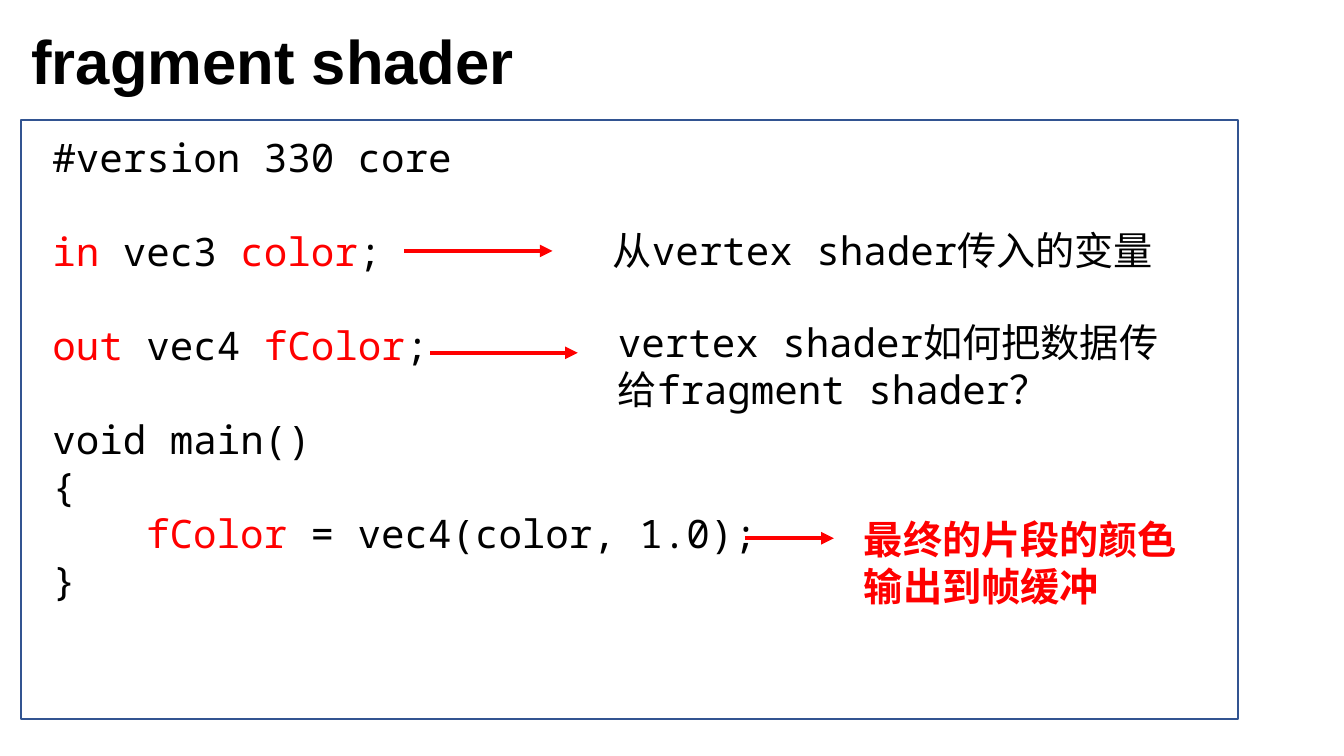
from dataclasses import dataclass

import lxml.etree
import pptx
import pptx.dml.color
import pptx.enum.shapes
import pptx.enum.text
import pptx.oxml.ns
import pptx.util

COLORS = {"text": "000000", "accent": "FF0000", "frame": "325491"}
CODE_FONT = "Noto Sans Mono"
TITLE_FONT = "Arial"
CODE_SIZE = 28
LINE_GAP = 33.6
CODE_INDENT = 0.93


@dataclass(frozen=True)
class Area:
    """Position and size in percent of the slide."""
    left: float
    top: float
    width: float
    height: float


@dataclass(frozen=True)
class Arrow:
    start: float
    end: float
    level: float


@dataclass(frozen=True)
class Note:
    area: Area
    lines: tuple[str, ...]
    color: str = "text"
    bold: bool = False


@dataclass(frozen=True)
class CodeLine:
    tokens: tuple[tuple[str, str], ...]
    gap_after: bool = False
    indent: float = 0


TITLE_AREA = Area(1.58, 2.4, 60.47, 11.2)
CODE_AREA = Area(3.15, 16.93, 82.22, 76.8)
FRAME_AREA = Area(1.58, 15.87, 90.55, 79.2)

CODE = (
    CodeLine((("#version 330 core", "text"),), True),
    CodeLine((("in", "accent"), (" vec3 ", "text"), ("color", "accent"), (";", "text")), True),
    CodeLine((("out", "accent"), (" vec4 ", "text"), ("fColor", "accent"), (";", "text")), True),
    CodeLine((("void main()", "text"),)),
    CodeLine((("{", "text"),)),
    CodeLine((("fColor", "accent"), (" = vec4(color, 1.0);", "text")), indent=CODE_INDENT),
    CodeLine((("}", "text"),)),
)
ARROWS = (
    Arrow(30.08, 41.11, 33.2),
    Arrow(32.03, 42.99, 46.67),
    Arrow(55.44, 62.04, 71.2),
)
NOTES = (
    Note(Area(44.86, 29.33, 41.71, 7.6), ("从vertex shader传入的变量",)),
    Note(Area(45.24, 41.47, 41.71, 13.87), ("vertex shader如何把数据传给fragment shader？",)),
    Note(Area(63.54, 67.47, 27.08, 13.87), ("最终的片段的颜色", "输出到帧缓冲"), "accent", True),
)

presentation = pptx.Presentation()
presentation.slide_width = pptx.util.Inches(13.33)
presentation.slide_height = pptx.util.Inches(7.5)
slide = presentation.slides.add_slide(presentation.slide_layouts[1])


def across(share: float) -> int:
    return round(presentation.slide_width * share / 100)


def down(share: float) -> int:
    return round(presentation.slide_height * share / 100)


def box(area: Area) -> tuple[int, int, int, int]:
    return across(area.left), down(area.top), across(area.width), down(area.height)


def rgb(name: str) -> pptx.dml.color.RGBColor:
    return pptx.dml.color.RGBColor.from_string(COLORS[name])


def place(shape, area: Area) -> None:
    shape.left, shape.top, shape.width, shape.height = box(area)
    frame = shape.text_frame
    frame.word_wrap = True
    frame.auto_size = pptx.enum.text.MSO_AUTO_SIZE.NONE
    frame.vertical_anchor = pptx.enum.text.MSO_ANCHOR.TOP


def style_run(run, font: str, size: float, color: str, bold: bool = False) -> None:
    run.font.name = font
    run.font.size = pptx.util.Pt(size)
    run.font.bold = bold
    run.font.color.rgb = rgb(color)


def write_title(text: str) -> None:
    title = slide.shapes.title
    place(title, TITLE_AREA)
    title.text_frame.text = text
    paragraph = title.text_frame.paragraphs[0]
    paragraph.alignment = pptx.enum.text.PP_ALIGN.LEFT
    style_run(paragraph.runs[0], TITLE_FONT, 44, "text", True)


def write_code(lines: tuple[CodeLine, ...]) -> None:
    body = slide.placeholders[1]
    place(body, CODE_AREA)
    body.text_frame.text = "\n".join("" for _ in lines)
    for paragraph, line in zip(body.text_frame.paragraphs, lines):
        paragraph.line_spacing = 1.0
        paragraph.space_before = pptx.util.Pt(0)
        paragraph.space_after = pptx.util.Pt(LINE_GAP if line.gap_after else 0)
        properties = paragraph._p.get_or_add_pPr()
        properties.set("marL", str(pptx.util.Inches(line.indent)))
        properties.set("indent", "0")
        lxml.etree.SubElement(properties, pptx.oxml.ns.qn("a:buNone"))
        for text, color in line.tokens:
            run = paragraph.add_run()
            run.text = text
            style_run(run, CODE_FONT, CODE_SIZE, color)


def draw_arrow(arrow: Arrow) -> None:
    connector = slide.shapes.add_connector(
        pptx.enum.shapes.MSO_CONNECTOR.STRAIGHT,
        across(arrow.start), down(arrow.level), across(arrow.end), down(arrow.level),
    )
    connector.line.color.rgb = rgb("accent")
    connector.line.width = pptx.util.Pt(3)
    line = connector.line._get_or_add_ln()
    lxml.etree.SubElement(line, pptx.oxml.ns.qn("a:tailEnd"), type="triangle")
    lxml.etree.SubElement(connector._element.spPr, pptx.oxml.ns.qn("a:effectLst"))


def write_note(note: Note) -> None:
    shape = slide.shapes.add_textbox(*box(note.area))
    place(shape, note.area)
    shape.text_frame.text = "\n".join(note.lines)
    for paragraph in shape.text_frame.paragraphs:
        style_run(paragraph.runs[0], CODE_FONT, CODE_SIZE, note.color, note.bold)


def draw_frame() -> None:
    frame = slide.shapes.add_shape(pptx.enum.shapes.MSO_SHAPE.RECTANGLE, *box(FRAME_AREA))
    frame.shadow.inherit = False
    frame.fill.background()
    frame.line.color.rgb = rgb("frame")
    frame.line.width = pptx.util.Pt(1.5)


def main() -> None:
    write_title("fragment shader")
    write_code(CODE)
    for arrow in ARROWS:
        draw_arrow(arrow)
    for note in NOTES:
        write_note(note)
    draw_frame()
    presentation.save("out.pptx")


if __name__ == "__main__":
    main()
